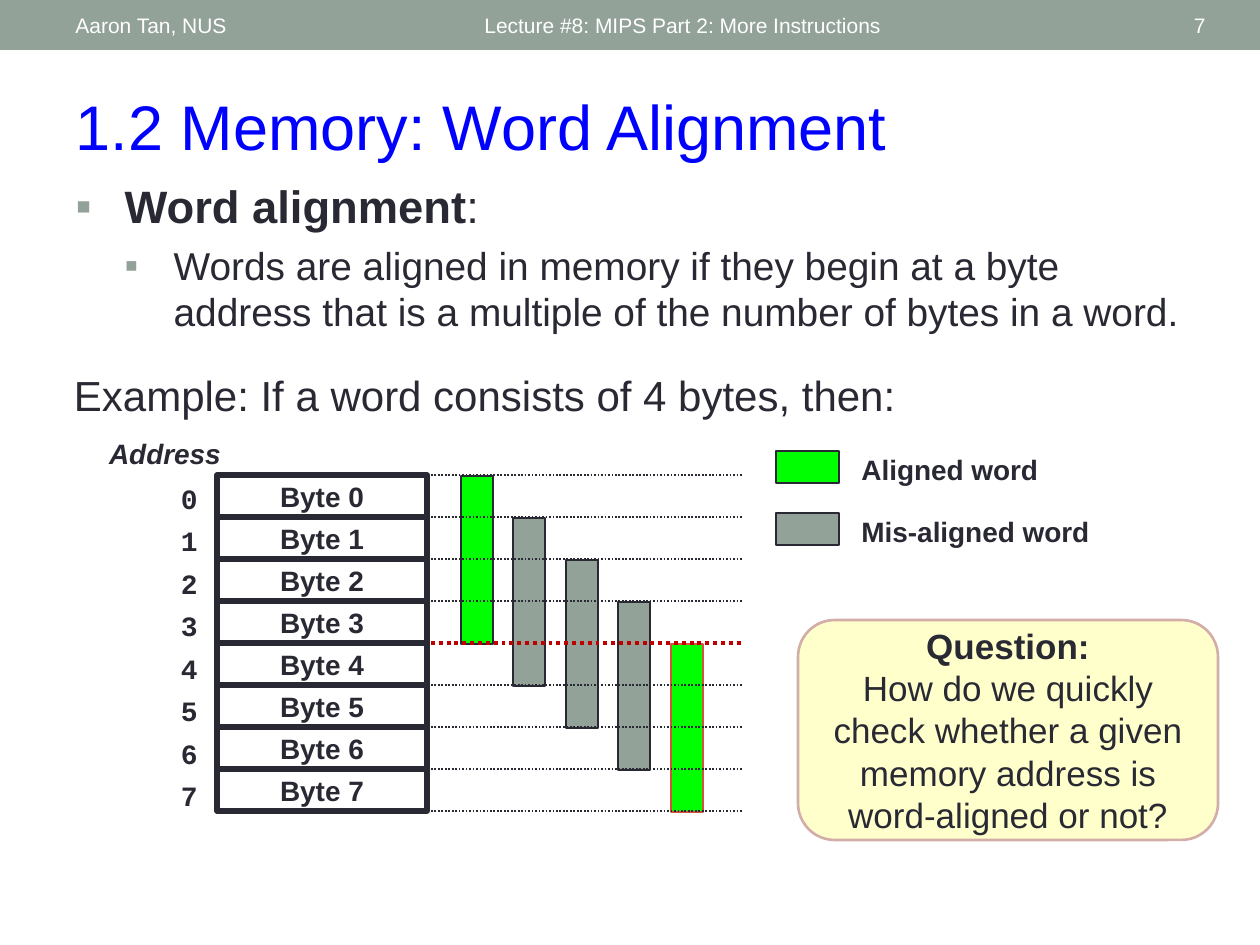
from dataclasses import dataclass

import lxml.etree
import pptx
import pptx.dml.color
import pptx.enum.dml
import pptx.enum.shapes
import pptx.enum.text
import pptx.oxml.ns
import pptx.util

RGBColor = pptx.dml.color.RGBColor
Align = pptx.enum.text.PP_ALIGN
Anchor = pptx.enum.text.MSO_ANCHOR
Shape = pptx.enum.shapes.MSO_SHAPE

INK = RGBColor(0x29, 0x29, 0x34)
SAGE = RGBColor(0x93, 0xA2, 0x99)
GREEN = RGBColor(0x00, 0xFF, 0x00)
BLUE = RGBColor(0x00, 0x00, 0xFF)
WHITE = RGBColor(0xFF, 0xFF, 0xFF)
RED = RGBColor(0xC0, 0x00, 0x00)
ORANGE = RGBColor(0xD2, 0x53, 0x3C)
CREAM = RGBColor(0xFF, 0xFF, 0xCC)
PINK = RGBColor(0xD3, 0xAE, 0xA8)

EMU_PER_PX = 914400 / 126
BYTE_COUNT = 8
ROW_HEIGHT = 42
MEMORY_TOP = 475
WORD_BYTES = 4


@dataclass
class Box:
    left: int
    top: int
    width: int
    height: int


@dataclass
class Style:
    size: float
    color: RGBColor = INK
    bold: bool = False
    italic: bool = False
    name: str = "Arial"


@dataclass
class WordBar:
    fill: RGBColor
    outline: RGBColor = INK


@dataclass
class Legend:
    top: int
    fill: RGBColor
    text: str


LABEL = Style(16, bold=True)
HEADER = Style(12, WHITE)


def px(length: int) -> int:
    return round(length * EMU_PER_PX)


def bounds(box: Box) -> tuple:
    return px(box.left), px(box.top), px(box.width), px(box.height)


def format_runs(paragraph, style: Style, align=Align.LEFT) -> None:
    paragraph.alignment = align
    for run in paragraph.runs:
        font = run.font
        font.name, font.size = style.name, pptx.util.Pt(style.size)
        font.bold, font.italic = style.bold, style.italic
        font.color.rgb = style.color


def set_text(shape, text: str, style: Style, align=Align.LEFT, anchor=Anchor.MIDDLE) -> None:
    frame = shape.text_frame
    frame.text = text
    frame.word_wrap = True
    frame.vertical_anchor = anchor
    for paragraph in frame.paragraphs:
        format_runs(paragraph, style, align)


def add_text(slide, box: Box, text: str, style: Style, align=Align.LEFT):
    shape = slide.shapes.add_textbox(*bounds(box))
    set_text(shape, text, style, align)
    return shape


def add_block(slide, box: Box, fill=None, outline=None, width: float = 1, kind=Shape.RECTANGLE):
    shape = slide.shapes.add_shape(kind, *bounds(box))
    shape.shadow.inherit = False
    if fill is None:
        shape.fill.background()
    else:
        shape.fill.solid()
        shape.fill.fore_color.rgb = fill
    if outline is None:
        shape.line.fill.background()
    else:
        shape.line.color.rgb = outline
        shape.line.width = pptx.util.Pt(width)
    return shape


def add_dotted_line(slide, y: int, color: RGBColor, width: float) -> None:
    line = slide.shapes.add_connector(
        pptx.enum.shapes.MSO_CONNECTOR.STRAIGHT, px(431), px(y), px(742), px(y))
    line.line.color.rgb = color
    line.line.width = pptx.util.Pt(width)
    line.line.dash_style = pptx.enum.dml.MSO_LINE.ROUND_DOT
    properties = line._element.spPr
    lxml.etree.SubElement(properties, pptx.oxml.ns.qn("a:effectLst"))


def add_bullet(paragraph, level: int) -> None:
    paragraph.level = level
    properties = paragraph._p.get_or_add_pPr()
    properties.set("marL", str(px(49 * (level + 1))))
    properties.set("indent", str(-px(49)))
    color = lxml.etree.SubElement(properties, pptx.oxml.ns.qn("a:buClr"))
    lxml.etree.SubElement(color, pptx.oxml.ns.qn("a:srgbClr")).set("val", str(SAGE))
    font = lxml.etree.SubElement(properties, pptx.oxml.ns.qn("a:buFont"))
    font.set("typeface", "Arial")
    lxml.etree.SubElement(properties, pptx.oxml.ns.qn("a:buChar")).set("char", "▪")


def place(shape, box: Box) -> None:
    shape.left, shape.top, shape.width, shape.height = bounds(box)


def add_header(slide) -> None:
    add_block(slide, Box(0, 0, 1260, 50), SAGE)
    add_text(slide, Box(472, 3, 567, 45), "Lecture #8: MIPS Part 2: More Instructions", HEADER)
    add_text(slide, Box(63, 3, 399, 45), "Aaron Tan, NUS", HEADER)
    add_text(slide, Box(1099, 3, 119, 45), "7", HEADER, Align.RIGHT)


def add_title_and_body(slide) -> None:
    title = slide.shapes.title
    place(title, Box(63, 81, 1134, 89))
    set_text(title, "1.2 Memory: Word Alignment", Style(36, BLUE), anchor=Anchor.TOP)

    body = slide.placeholders[1]
    place(body, Box(63, 172, 1134, 189))
    frame = body.text_frame
    frame.auto_size = pptx.enum.text.MSO_AUTO_SIZE.NONE
    heading, detail = frame.paragraphs[0], frame.add_paragraph()
    add_bullet(heading, 0)
    heading.add_run().text = "Word alignment"
    heading.add_run().text = ":"
    format_runs(heading, Style(25.9, bold=True))
    heading.runs[1].font.bold = False
    heading.space_before = pptx.util.Pt(0)
    add_bullet(detail, 1)
    detail.add_run().text = ("Words are aligned in memory if they begin at a byte address "
                             "that is a multiple of the number of bytes in a word.")
    format_runs(detail, Style(22.2))
    detail.space_before = pptx.util.Pt(5)


def add_memory(slide) -> None:
    add_text(slide, Box(87, 437, 156, 32), "Address",
             Style(16, bold=True, italic=True), Align.CENTER)
    for index in range(BYTE_COUNT):
        # Address labels sit slightly wider apart than the cells
        add_text(slide, Box(151, MEMORY_TOP + index * 85 // 2, 59, 47), str(index),
                 Style(16, bold=True, name="Courier New"), Align.RIGHT)
        cell = add_block(slide, Box(217, MEMORY_TOP + index * ROW_HEIGHT, 210, ROW_HEIGHT),
                         outline=INK, width=3)
        set_text(cell, f"Byte {index}", LABEL, Align.CENTER)

    # Words starting at each successive byte
    bars = [WordBar(GREEN), WordBar(SAGE), WordBar(SAGE), WordBar(SAGE), WordBar(GREEN, ORANGE)]
    for index, bar in enumerate(bars):
        add_block(slide, Box(461 + index * 105 // 2, MEMORY_TOP + 1 + index * ROW_HEIGHT,
                             32, WORD_BYTES * ROW_HEIGHT), bar.fill, bar.outline)

    # Byte boundaries, with the word boundary in red
    for index in range(BYTE_COUNT + 1):
        color, width = (RED, 2.25) if index == WORD_BYTES else (INK, 1)
        add_dotted_line(slide, MEMORY_TOP + index * ROW_HEIGHT, color, width)


def add_legend(slide) -> None:
    for entry in (Legend(451, GREEN, "Aligned word"), Legend(513, SAGE, "Mis-aligned word")):
        add_block(slide, Box(776, entry.top, 63, 32), entry.fill, INK)
        add_text(slide, Box(849, entry.top, 285, 36), entry.text, LABEL)


def add_question(slide) -> None:
    box = add_block(slide, Box(798, 620, 420, 220), CREAM, PINK, 1.5, Shape.ROUNDED_RECTANGLE)
    set_text(box, "Question:\nHow do we quickly check whether a given memory address is "
             "word-aligned or not?", Style(20), Align.CENTER)
    box.text_frame.paragraphs[0].runs[0].font.bold = True


def main() -> None:
    presentation = pptx.Presentation()
    presentation.slide_width, presentation.slide_height = px(1260), px(945)
    slide = presentation.slides.add_slide(presentation.slide_layouts[1])
    add_header(slide)
    add_title_and_body(slide)
    example = add_text(slide, Box(73, 368, 858, 53),
                       "Example: If a word consists of 4 bytes, then:", Style(24))
    frame = example.text_frame
    frame.margin_left = frame.margin_right = frame.margin_top = frame.margin_bottom = px(1)
    add_memory(slide)
    add_legend(slide)
    add_question(slide)
    presentation.save("out.pptx")


if __name__ == "__main__":
    main()
